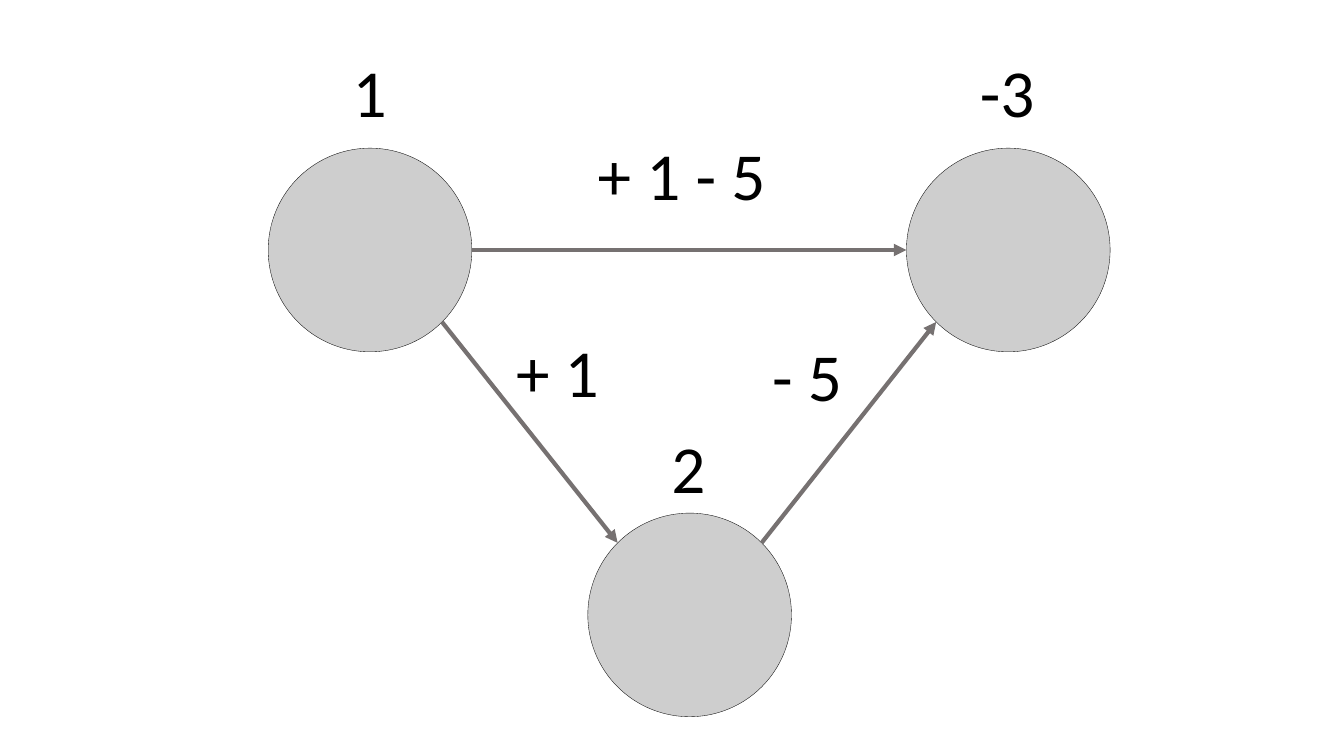
from dataclasses import dataclass
from math import hypot

from lxml import etree
from pptx import Presentation
from pptx.dml.color import RGBColor
from pptx.enum.shapes import MSO_CONNECTOR, MSO_SHAPE
from pptx.enum.text import MSO_AUTO_SIZE
from pptx.oxml.ns import qn
from pptx.slide import Slide
from pptx.util import Inches, Pt

OVAL = MSO_SHAPE.OVAL
STRAIGHT = MSO_CONNECTOR.STRAIGHT
FIT_SHAPE = MSO_AUTO_SIZE.SHAPE_TO_FIT_TEXT

BLANK_LAYOUT = 6
RADIUS = 1.01
LABEL_HEIGHT = 0.91
NODE_COLOR = "0D0D0D"
ARROW_COLOR = "767171"
TEXT_COLOR = "000000"


@dataclass(frozen=True)
class Node:
    center_x: float
    center_y: float

    def edge_point(self, direction: tuple[int, int]) -> tuple[float, float]:
        step_x, step_y = direction
        scale = RADIUS / hypot(step_x, step_y)
        return self.center_x + step_x * scale, self.center_y + step_y * scale


@dataclass(frozen=True)
class Label:
    text: str
    left: float
    top: float
    width: float


@dataclass(frozen=True)
class Arrow:
    start: Node
    end: Node
    direction: tuple[int, int]


START = Node(3.67, 2.48)
MIDDLE = Node(6.84, 6.1)
END = Node(10.0, 2.48)
NODES = [START, MIDDLE, END]
ARROWS = [
    Arrow(START, MIDDLE, (1, 1)),
    Arrow(MIDDLE, END, (1, -1)),
    Arrow(START, END, (1, 0)),
]
LABELS = [
    Label("1", 3.4, 0.45, 0.54),
    Label("2", 6.56, 4.18, 0.54),
    Label("-3", 9.62, 0.45, 0.75),
    Label("+ 1", 5.02, 3.23, 1.03),
    Label("- 5", 7.56, 3.27, 0.9),
    Label("+ 1 - 5", 5.83, 1.27, 1.88),
]


def color(hex_value: str) -> RGBColor:
    return RGBColor.from_string(hex_value)


def draw_node(slide: Slide, node: Node) -> None:
    shape = slide.shapes.add_shape(
        OVAL,
        Inches(node.center_x - RADIUS),
        Inches(node.center_y - RADIUS),
        Inches(2 * RADIUS),
        Inches(2 * RADIUS),
    )
    shape.shadow.inherit = False
    shape.fill.solid()
    shape.fill.fore_color.rgb = color(NODE_COLOR)
    fill_color = shape.element.spPr.find(qn("a:solidFill")).find(qn("a:srgbClr"))
    etree.SubElement(fill_color, qn("a:alpha"), val="20000")
    shape.line.color.rgb = color(NODE_COLOR)
    shape.line.width = Pt(0.25)


def draw_arrow(slide: Slide, arrow: Arrow) -> None:
    step_x, step_y = arrow.direction
    start_x, start_y = arrow.start.edge_point(arrow.direction)
    end_x, end_y = arrow.end.edge_point((-step_x, -step_y))
    connector = slide.shapes.add_connector(
        STRAIGHT, Inches(start_x), Inches(start_y), Inches(end_x), Inches(end_y)
    )
    connector.line.color.rgb = color(ARROW_COLOR)
    connector.line.width = Pt(3)
    properties = connector.element.spPr
    etree.SubElement(properties.find(qn("a:ln")), qn("a:tailEnd"), type="triangle")
    etree.SubElement(properties, qn("a:effectLst"))


def draw_label(slide: Slide, label: Label) -> None:
    text_box = slide.shapes.add_textbox(
        Inches(label.left), Inches(label.top), Inches(label.width), Inches(LABEL_HEIGHT)
    )
    text_frame = text_box.text_frame
    text_frame.word_wrap = False
    text_frame.auto_size = FIT_SHAPE
    text_frame.text = label.text
    font = text_frame.paragraphs[0].runs[0].font
    font.name = "Calibri"
    font.size = Pt(48)
    font.color.rgb = color(TEXT_COLOR)


def main() -> None:
    presentation = Presentation()
    presentation.slide_width = Inches(13.33)
    presentation.slide_height = Inches(7.5)
    slide = presentation.slides.add_slide(presentation.slide_layouts[BLANK_LAYOUT])
    for node in NODES:
        draw_node(slide, node)
    for arrow in ARROWS:
        draw_arrow(slide, arrow)
    for label in LABELS:
        draw_label(slide, label)
    presentation.save("out.pptx")


if __name__ == "__main__":
    main()
